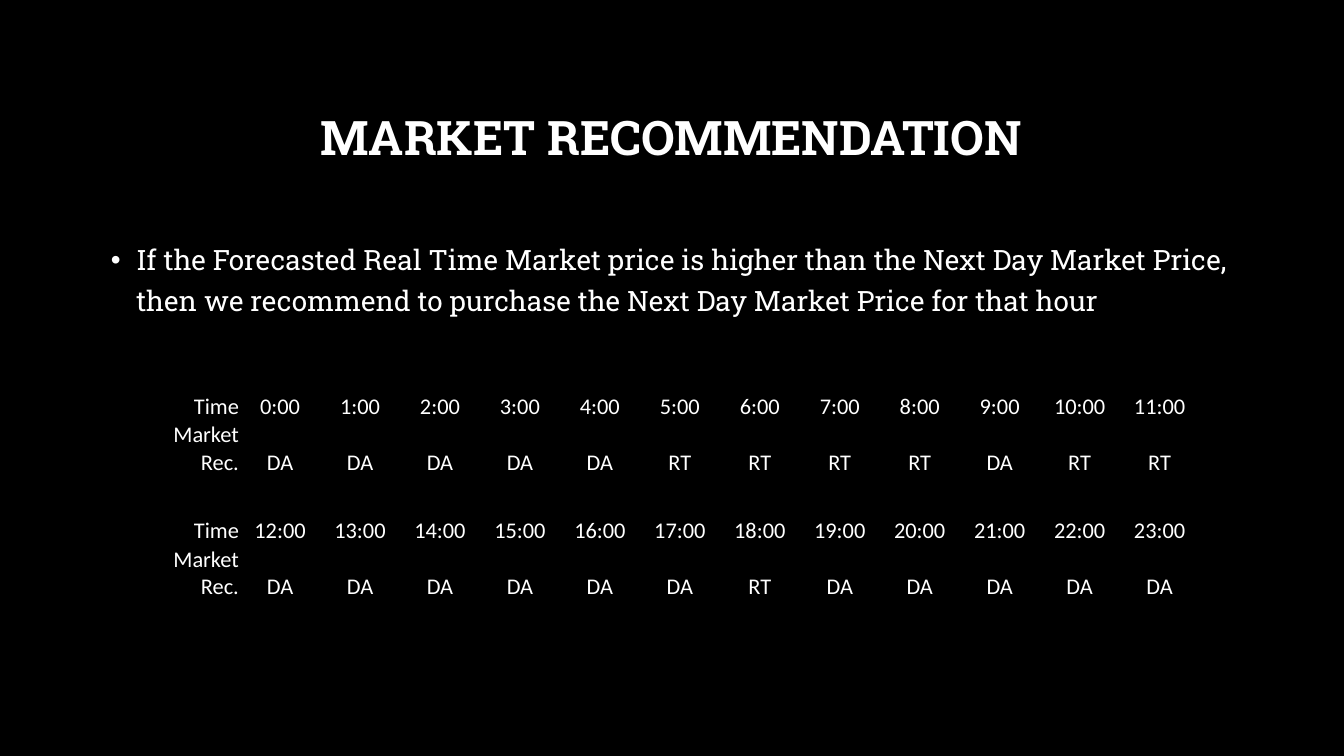
from dataclasses import dataclass

from lxml import etree
from pptx import Presentation
from pptx import util as u
from pptx.dml.color import RGBColor
from pptx.enum import text as t
from pptx.oxml.ns import qn


@dataclass(frozen=True)
class Theme:
    back: RGBColor = RGBColor(0, 0, 0)
    ink: RGBColor = RGBColor(255, 255, 255)
    slab: str = "Roboto Slab"
    sans: str = "Calibri"
    title: int = 34
    body: int = 20
    cell: int = 16


@dataclass(frozen=True)
class Box:
    left: float
    top: float
    width: float
    height: float


@dataclass(frozen=True)
class Half:
    """Twelve hours of the day with the market advised for each."""
    start: int
    picks: str

    def rows(self) -> list[list[str]]:
        picks = self.picks.split()
        hours = [f"{self.start + i}:00" for i in range(len(picks))]
        return [["Time", *hours], ["Market Rec.", *picks]]


THEME = Theme()
HALVES = [
    Half(0, "DA DA DA DA DA RT RT RT RT DA RT RT"),
    Half(12, "DA DA DA DA DA DA RT DA DA DA DA DA"),
]
PLAIN = "{2D5ABB26-0587-4C30-8999-92F81FD0307C}"  # No Style, No Grid
HEAD = 2.49
ROW = 0.86


def place(shape, box: Box) -> None:
    shape.left, shape.top = u.Cm(box.left), u.Cm(box.top)
    shape.width, shape.height = u.Cm(box.width), u.Cm(box.height)


def write(para, words: str, face: str, size: int, bold: bool = False) -> None:
    run = para.add_run()
    run.text = words
    run.font.name, run.font.size, run.font.bold = face, u.Pt(size), bold
    run.font.color.rgb = THEME.ink


def bullet(para, indent: float) -> None:
    """Hang the paragraph on a round bullet."""
    props = para._p.get_or_add_pPr()
    props.set("marL", str(u.Cm(indent)))
    props.set("indent", str(-u.Cm(indent)))
    etree.SubElement(props, qn("a:buFont")).set("typeface", "Arial")
    etree.SubElement(props, qn("a:buChar")).set("char", "•")


def add_title(slide, box: Box) -> None:
    title = slide.shapes.title
    place(title, box)
    frame = title.text_frame
    frame.auto_size = t.MSO_AUTO_SIZE.NONE
    frame.vertical_anchor = t.MSO_ANCHOR.MIDDLE
    para = frame.paragraphs[0]
    para.alignment, para.line_spacing = t.PP_ALIGN.CENTER, 0.9
    write(para, "MARKET RECOMMENDATION", THEME.slab, THEME.title, True)


def add_body(slide, box: Box) -> None:
    body = slide.placeholders[1]
    place(body, box)
    frame = body.text_frame
    frame.auto_size = t.MSO_AUTO_SIZE.NONE
    frame.vertical_anchor = t.MSO_ANCHOR.TOP
    para = frame.paragraphs[0]
    para.line_spacing, para.space_before = 1.2, u.Pt(10)
    bullet(para, 0.64)
    write(para, "If the Forecasted Real Time Market price is higher than "
          "the Next Day Market Price, then we recommend to purchase "
          "the Next Day Market Price for that hour", THEME.slab, THEME.body)


def fill_cell(cell, words: str, align) -> None:
    cell.fill.background()
    cell.vertical_anchor = t.MSO_ANCHOR.BOTTOM
    cell.margin_left = cell.margin_right = cell.margin_top = u.Cm(0.03)
    cell.margin_bottom = 0
    if words:
        para = cell.text_frame.paragraphs[0]
        para.alignment = align
        write(para, words, THEME.sans, THEME.cell)


def add_hours(slide, box: Box) -> None:
    """Draw both halves of the day, with an empty row between them."""
    first, last = (half.rows() for half in HALVES)
    cols = len(first[0])
    rows = [*first, [""] * cols, *last]
    table = slide.shapes.add_table(
        len(rows), cols, u.Cm(box.left), u.Cm(box.top),
        u.Cm(box.width), u.Cm(box.height)).table
    table.first_row = table.horz_banding = False
    table._tbl.tblPr.find(qn("a:tableStyleId")).text = PLAIN
    for c, col in enumerate(table.columns):
        col.width = u.Cm((box.width - HEAD) / (cols - 1) if c else HEAD)
    for r, row in enumerate(rows):
        table.rows[r].height = u.Cm(ROW)
        for c, words in enumerate(row):
            align = t.PP_ALIGN.CENTER if c else t.PP_ALIGN.RIGHT
            fill_cell(table.cell(r, c), words, align)


def main() -> None:
    deck = Presentation()
    deck.slide_width, deck.slide_height = u.Cm(33.87), u.Cm(19.05)
    slide = deck.slides.add_slide(deck.slide_layouts[1])
    slide.background.fill.solid()
    slide.background.fill.fore_color.rgb = THEME.back
    add_title(slide, Box(2.54, 1.7, 28.75, 3.68))
    add_body(slide, Box(2.54, 5.82, 28.75, 10.26))
    add_hours(slide, Box(3.56, 9.73, 26.67, 5 * ROW))
    deck.save("out.pptx")


if __name__ == "__main__":
    main()
